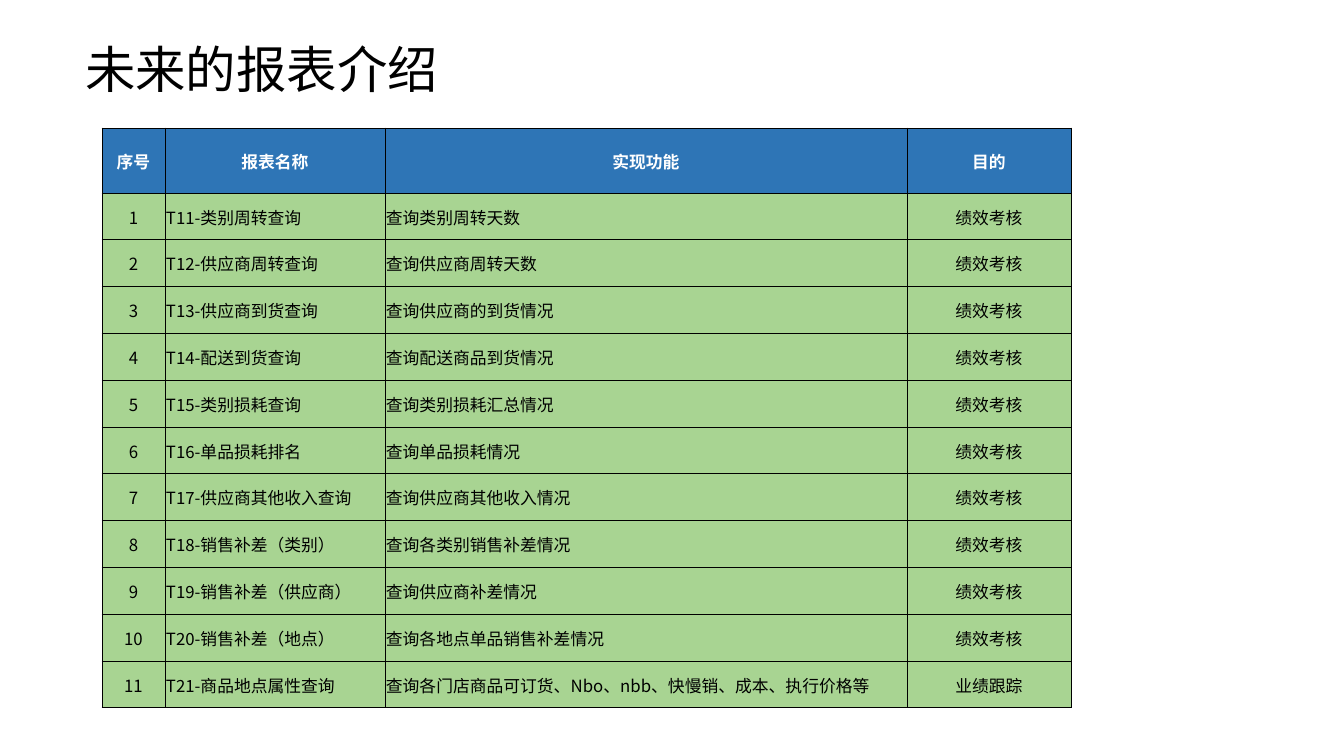
import pptx
import pptx.dml.color
import pptx.enum.text
import pptx.oxml
import pptx.oxml.ns
import pptx.util

ALIGN = pptx.enum.text.PP_ALIGN
ANCHOR = pptx.enum.text.MSO_ANCHOR
CJK_FACE = "Noto Sans CJK SC"

HEADINGS = ("序号", "报表名称", "实现功能", "目的")
COLUMN_WIDTHS = (63, 220, 522, 164)
COLUMN_ALIGNS = (ALIGN.CENTER, ALIGN.LEFT, ALIGN.LEFT, ALIGN.CENTER)
REPORTS = (
    ("类别周转查询", "查询类别周转天数", "绩效考核"),
    ("供应商周转查询", "查询供应商周转天数", "绩效考核"),
    ("供应商到货查询", "查询供应商的到货情况", "绩效考核"),
    ("配送到货查询", "查询配送商品到货情况", "绩效考核"),
    ("类别损耗查询", "查询类别损耗汇总情况", "绩效考核"),
    ("单品损耗排名", "查询单品损耗情况", "绩效考核"),
    ("供应商其他收入查询", "查询供应商其他收入情况", "绩效考核"),
    ("销售补差（类别）", "查询各类别销售补差情况", "绩效考核"),
    ("销售补差（供应商）", "查询供应商补差情况", "绩效考核"),
    ("销售补差（地点）", "查询各地点单品销售补差情况", "绩效考核"),
    ("商品地点属性查询", "查询各门店商品可订货、Nbo、nbb、快慢销、成本、执行价格等", "业绩跟踪"),
)


def px(length):
    return pptx.util.Emu(round(length * 914400 / 100.8))


def colour(code):
    return pptx.dml.color.RGBColor.from_string(code)


def apply(target, values):
    for name, value in values.items():
        setattr(target, name, value)


class ReportSlide:
    ink, header_ink = "000000", "FFFFFF"
    header_fill, body_fill = "2E75B6", "A8D492"
    title_font = {"name": "Calibri", "size": pptx.util.Pt(36), "bold": False}
    table_font = {"name": CJK_FACE, "size": pptx.util.Pt(12)}
    cell_format = {
        "margin_left": px(1), "margin_right": px(1), "margin_top": px(1),
        "margin_bottom": 0, "vertical_anchor": ANCHOR.MIDDLE,
    }

    def __init__(self, deck):
        self.slide = deck.slides.add_slide(deck.slide_layouts[5])

    def wording(self, paragraph, words, font, ink, align):
        paragraph.alignment = align
        run = paragraph.add_run()
        run.text = words
        apply(run.font, font)
        run.font.color.rgb = colour(ink)
        east_asian = pptx.oxml.parse_xml(
            f'<a:ea {pptx.oxml.ns.nsdecls("a")} typeface="{CJK_FACE}"/>')
        run.font._element.append(east_asian)

    def title(self, words, left, top, width, height):
        heading = self.slide.shapes.title
        apply(heading, {"left": px(left), "top": px(top),
                        "width": px(width), "height": px(height)})
        frame = heading.text_frame
        apply(frame, {"word_wrap": False, "vertical_anchor": ANCHOR.TOP,
                      "auto_size": pptx.enum.text.MSO_AUTO_SIZE.SHAPE_TO_FIT_TEXT})
        self.wording(frame.paragraphs[0], words, self.title_font, self.ink, ALIGN.LEFT)

    def borders(self, cell):
        properties = cell._tc.get_or_add_tcPr()
        for place, side in enumerate(("lnL", "lnR", "lnT", "lnB")):
            properties.insert(place, pptx.oxml.parse_xml(
                f'<a:{side} {pptx.oxml.ns.nsdecls("a")} w="{pptx.util.Pt(0.5)}">'
                f'<a:solidFill><a:srgbClr val="{self.ink}"/></a:solidFill></a:{side}>'))

    def cell(self, cell, words, align, is_header):
        apply(cell, self.cell_format)
        cell.fill.solid()
        cell.fill.fore_color.rgb = colour(self.header_fill if is_header else self.body_fill)
        self.borders(cell)
        self.wording(cell.text_frame.paragraphs[0], words,
                     self.table_font | {"bold": is_header},
                     self.header_ink if is_header else self.ink,
                     ALIGN.CENTER if is_header else align)

    def table(self, rows, left, top, height, header_height):
        table = self.slide.shapes.add_table(
            len(rows), len(COLUMN_WIDTHS), px(left), px(top),
            px(sum(COLUMN_WIDTHS)), px(height)).table
        table.horz_banding = False
        for column, width in zip(table.columns, COLUMN_WIDTHS):
            column.width = px(width)
        body_height = (height - header_height) / (len(rows) - 1)
        for index, entries in enumerate(rows):
            is_header = index == 0
            table.rows[index].height = px(header_height if is_header else body_height)
            for cell, words, align in zip(table.rows[index].cells, entries, COLUMN_ALIGNS):
                self.cell(cell, words, align, is_header)


def main():
    deck = pptx.Presentation()
    apply(deck, {"slide_width": px(1344), "slide_height": px(756)})
    page = ReportSlide(deck)
    page.title("未来的报表介绍", 75, 33, 377, 72)
    reports = [(str(number), f"T{number + 10}-{name}", purpose, goal)
               for number, (name, purpose, goal) in enumerate(REPORTS, 1)]
    page.table([HEADINGS, *reports], left=102, top=128, height=580, header_height=65)
    deck.save("out.pptx")


if __name__ == "__main__":
    main()
